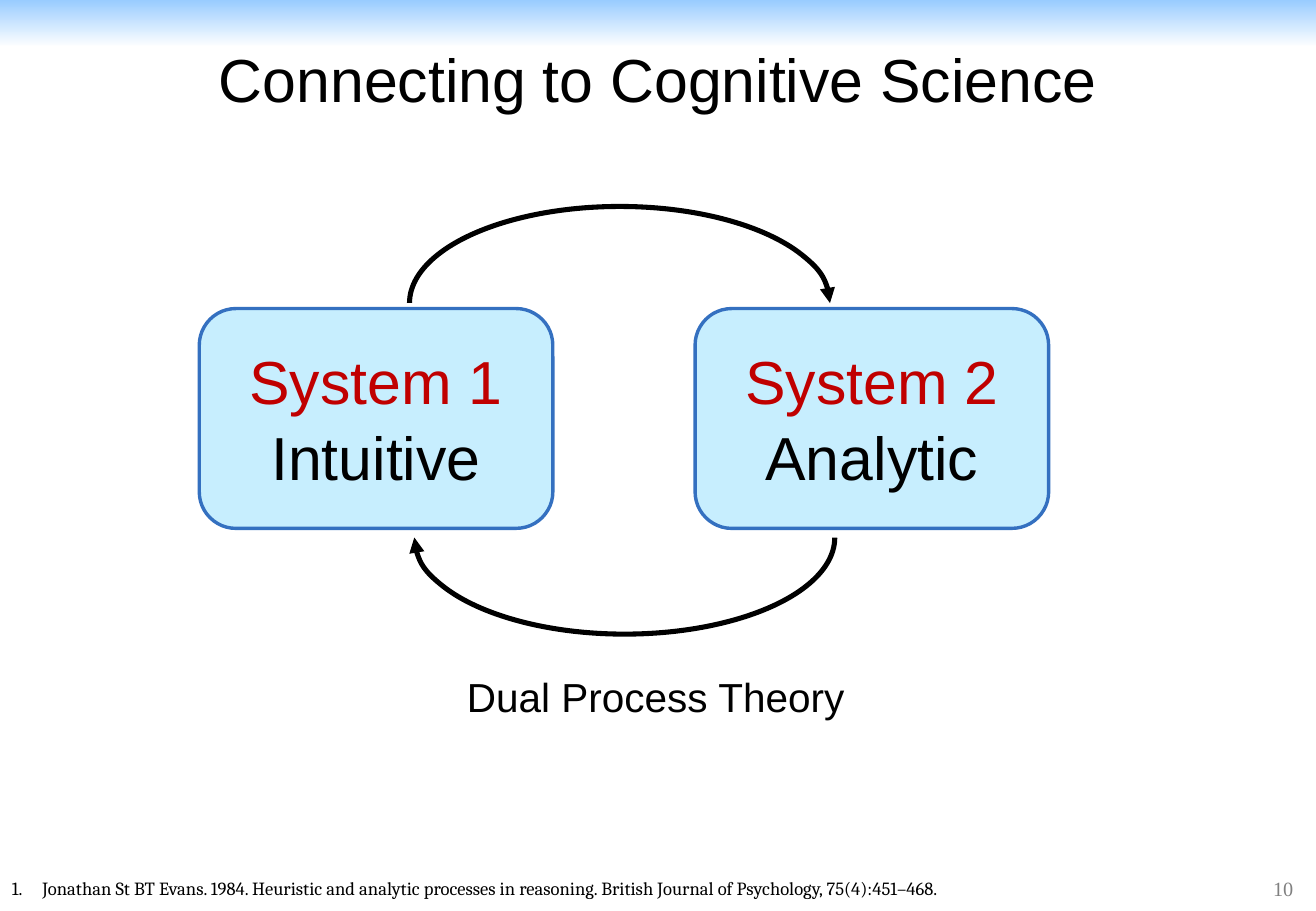
from lxml.etree import SubElement
from pptx import Presentation
from pptx.dml.color import RGBColor
from pptx.enum.shapes import MSO_SHAPE
from pptx.enum.text import MSO_ANCHOR, MSO_AUTO_SIZE, PP_ALIGN
from pptx.oxml.ns import qn
from pptx.util import Inches, Pt

COLORS = {
    "sky": "99CCFF", "white": "FFFFFF", "black": "000000", "gray": "808080",
    "panel": "C7EEFE", "border": "3470C0", "red": "C00000",
}
COLUMNS = ROWS = 120


def rgb(name):
    return RGBColor.from_string(COLORS[name])


def write(p, text, size=36, font="Arial", color="black", align=PP_ALIGN.LEFT):
    p.alignment = align
    r = p.add_run()
    r.text = text
    r.font.size, r.font.name = Pt(size), font
    r.font.color.rgb = rgb(color)


class SlideBuilder:
    def __init__(self, prs):
        self.s = prs.slides.add_slide(prs.slide_layouts[5])
        self.col = prs.slide_width / COLUMNS
        self.row = prs.slide_height / ROWS

    def place(self, x, y, w, h):
        """Turn columns and rows into lengths."""
        return (int(x * self.col), int(y * self.row),
                int(w * self.col), int(h * self.row))

    def shape(self, kind, *at):
        sp = self.s.shapes.add_shape(kind, *self.place(*at))
        sp.shadow.inherit = False
        return sp

    def header(self, height):
        sp = self.shape(MSO_SHAPE.RECTANGLE, 0, 0, COLUMNS, height)
        sp.line.fill.background()
        sp.fill.gradient()
        sp.fill.gradient_angle = 270
        for stop, color, position in zip(sp.fill.gradient_stops, ("sky", "white"), (0, 1)):
            stop.color.rgb, stop.position = rgb(color), position

    def title(self, text, *at):
        sp = self.s.shapes.title
        sp.left, sp.top, sp.width, sp.height = self.place(*at)
        sp._element.getparent().append(sp._element)  # in front of the header
        tf = sp.text_frame
        tf.auto_size, tf.vertical_anchor = MSO_AUTO_SIZE.NONE, MSO_ANCHOR.MIDDLE
        write(tf.paragraphs[0], text, align=PP_ALIGN.CENTER)

    def text(self, text, *at, numbered=False, anchor=MSO_ANCHOR.MIDDLE, **style):
        tf = self.s.shapes.add_textbox(*self.place(*at)).text_frame
        tf.word_wrap, tf.vertical_anchor = True, anchor
        p = tf.paragraphs[0]
        if numbered:
            pPr = p._p.get_or_add_pPr()
            pPr.set("marL", str(Inches(0.25)))
            pPr.set("indent", str(Inches(-0.25)))
            SubElement(pPr, qn("a:buAutoNum"), type="arabicPeriod")
        write(p, text, **style)

    def system(self, name, manner, *at):
        sp = self.shape(MSO_SHAPE.ROUNDED_RECTANGLE, *at)
        sp.fill.solid()
        sp.fill.fore_color.rgb = rgb("panel")
        sp.line.color.rgb, sp.line.width = rgb("border"), Pt(2)
        tf = sp.text_frame
        tf.vertical_anchor = MSO_ANCHOR.MIDDLE
        write(tf.paragraphs[0], name, color="red", align=PP_ALIGN.CENTER)
        p = tf.add_paragraph()
        p.space_before = Pt(2)
        write(p, manner, align=PP_ALIGN.CENTER)

    def arc_arrow(self, *at, rotation=0):
        sp = self.shape(MSO_SHAPE.ARC, *at)
        sp.adjustments[0], sp.adjustments[1] = 108.02, 0
        sp.rotation = rotation
        sp.fill.background()
        sp.line.color.rgb, sp.line.width = rgb("black"), Pt(3)
        SubElement(sp._element.spPr.find(qn("a:ln")), qn("a:tailEnd"), type="triangle")


def main():
    prs = Presentation()
    prs.slide_width, prs.slide_height = Inches(10.83), Inches(7.5)
    slide = SlideBuilder(prs)
    slide.header(6.24)
    slide.text("10", 115, 113.96, 5, 6, size=12, font="Times New Roman", color="gray")
    slide.title("Connecting to Cognitive Science", 3.3, 3.36, 113.4, 13.92)
    slide.text("Dual Process Theory", 34.24, 84.8, 51.08, 13.92,
               size=24, align=PP_ALIGN.CENTER)
    for i, manner in enumerate(("Intuitive", "Analytic")):
        slide.system(f"System {i + 1}", manner, 18.17 + i * 45.21, 40.64, 32.24, 28.96)
    for x, y, rotation in ((37.34, 27.2, 0), (37.78, 58.08, 180)):
        slide.arc_arrow(x, y, 38.34, 25.44, rotation=rotation)
    slide.text("Jonathan St BT Evans. 1984. Heuristic and analytic processes in reasoning. "
               "British Journal of Psychology, 75(4):451–468.",
               0, 114.72, COLUMNS, 4.64, numbered=True, anchor=MSO_ANCHOR.TOP,
               size=11, font="Cambria")
    prs.save("out.pptx")


if __name__ == "__main__":
    main()
